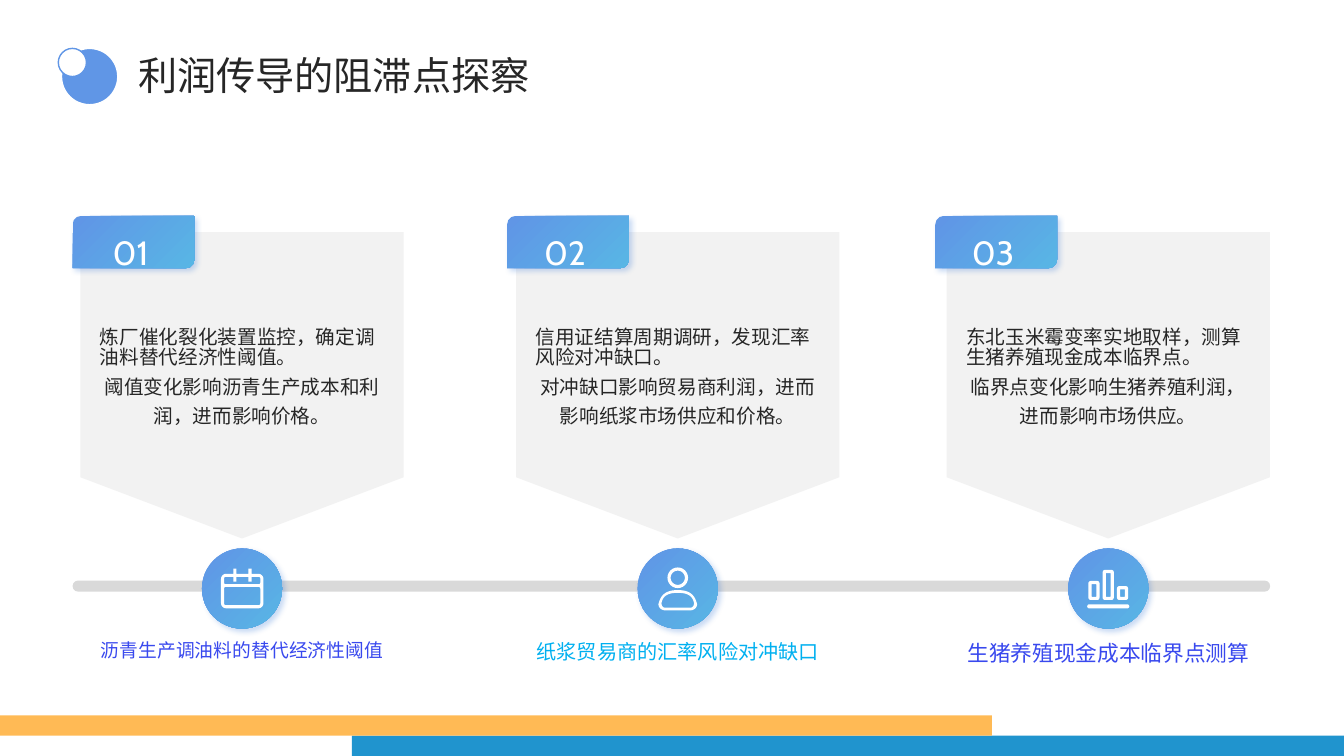
from math import cos, radians, sin

from lxml.etree import SubElement
from pptx import Presentation
from pptx.dml.color import RGBColor
from pptx.enum.shapes import MSO_SHAPE as SHAPE
from pptx.enum.text import MSO_ANCHOR as ANCHOR, PP_ALIGN as ALIGN
from pptx.oxml.ns import qn
from pptx.util import Cm, Pt

TITLE = "利润传导的阻滞点探察"
STAGES = [
    dict(number="01", center=6.1, tag=1.83, icon="calendar",
         finding="炼厂催化裂化装置监控，确定调油料替代经济性阈值。",
         impact="阈值变化影响沥青生产成本和利润，进而影响价格。",
         caption="沥青生产调油料的替代经济性阈值", size=13.4, color="indigo"),
    dict(number="02", center=17.08, tag=12.78, icon="person",
         finding="信用证结算周期调研，发现汇率风险对冲缺口。",
         impact="对冲缺口影响贸易商利润，进而影响纸浆市场供应和价格。",
         caption="纸浆贸易商的汇率风险对冲缺口", size=14.4, color="cyan"),
    dict(number="03", center=27.93, tag=23.57, icon="bars",
         finding="东北玉米霉变率实地取样，测算生猪养殖现金成本临界点。",
         impact="临界点变化影响生猪养殖利润，进而影响市场供应。",
         caption="生猪养殖现金成本临界点测算", size=15.5, color="indigo"),
]
COLORS = dict(white="FFFFFF", ink="262626", panel="F2F2F2", track="D9D9D9",
              blue="6096E6", sky="58B6E5", shadow="2169D3", indigo="3949EE",
              cyan="00B0F0", orange="FFBA55", footer="2094CE")
CJK, LATIN = "Noto Sans CJK SC", "Cabin"
PANEL_W, PANEL_H, PANEL_Y = 8.15, 7.72, 5.85
TEXT_W, DISC, DISC_Y = 7.16, 2.02, 14.83

prs = Presentation()
prs.slide_width, prs.slide_height = Cm(33.87), Cm(19.05)
s = prs.slides.add_slide(prs.slide_layouts[6])


def rgb(name):
    return RGBColor.from_string(COLORS[name])


def paint(sp, fill, line=None):
    sp.shadow.inherit = False
    sp.fill.solid()
    sp.fill.fore_color.rgb = rgb(fill)
    if line:
        sp.line.color.rgb = rgb(line)
        sp.line.width = Pt(1)
    else:
        sp.line.fill.background()


def add_box(kind, x, y, w, h, fill, line=None):
    sp = s.shapes.add_shape(kind, Cm(x), Cm(y), Cm(w), Cm(h))
    paint(sp, fill, line)
    return sp


def add_glossy(kind, x, y, w, h):
    sp = add_box(kind, x, y, w, h, "blue")
    sp.fill.gradient()
    sp.fill.gradient_angle = 315
    for stop, position, color in zip(sp.fill.gradient_stops, (0.04, 1), ("blue", "sky")):
        stop.position = position
        stop.color.rgb = rgb(color)
    effects = sp._element.spPr.find(qn("a:effectLst"))
    shadow = SubElement(effects, qn("a:outerShdw"), blurRad=str(Pt(4)),
                        dist=str(Pt(3)), dir="2700000", algn="tl", rotWithShape="0")
    tint = SubElement(shadow, qn("a:srgbClr"), val=COLORS["shadow"])
    SubElement(tint, qn("a:alpha"), val="23000")


def add_text(paragraphs, x, y, w, h, size, color="ink", font=CJK, anchor=ANCHOR.MIDDLE):
    tf = s.shapes.add_textbox(Cm(x), Cm(y), Cm(w), Cm(h)).text_frame
    tf.word_wrap = True
    tf.vertical_anchor = anchor
    tf.margin_left = tf.margin_right = tf.margin_top = tf.margin_bottom = 0
    for i, (text, align, spacing) in enumerate(paragraphs):
        p = tf.paragraphs[0] if i == 0 else tf.add_paragraph()
        p.alignment, p.line_spacing = align, spacing
        r = p.add_run()
        r.text = text
        r.font.size = Pt(size)
        r.font.color.rgb = rgb(color)
        r.font.name = font
        SubElement(r._r.get_or_add_rPr(), qn("a:ea"), typeface=font)


def rounded(x, y, w, h, radius, top=()):
    corners = [(x + radius, y + radius, 180), (x + w - radius, y + radius, 270),
               (x + w - radius, y + h - radius, 0), (x + radius, y + h - radius, 90)]
    arcs = [[(cx + radius * cos(radians(start + a)), cy + radius * sin(radians(start + a)))
             for a in range(0, 91, 15)] for cx, cy, start in corners]
    return arcs[0] + list(top) + arcs[1] + arcs[2] + arcs[3]


def circle(y, radius):
    return rounded(-radius, y - radius, 2 * radius, 2 * radius, radius)


def bezier(*points):
    curve = []
    for step in range(13):
        t = step / 12
        weights = ((1 - t) ** 3, 3 * t * (1 - t) ** 2, 3 * t * t * (1 - t), t ** 3)
        curve.append(tuple(sum(k * pt[axis] for k, pt in zip(weights, points))
                           for axis in (0, 1)))
    return curve


def dome(*points):
    half = bezier(*points[:4]) + bezier(*points[3:])
    return half + [(-x, y) for x, y in reversed(half)]


def pins(edge, tip):
    return [(c + dx, y) for c in (-0.18, 0.2)
            for dx, y in ((-0.04, edge), (-0.04, tip), (0.04, tip), (0.04, edge))]


def column(x, y):
    return [rounded(x, y, 0.28, 0.29 - y, 0.06),
            rounded(x + 0.08, y + 0.08, 0.12, 0.13 - y, 0.01)]


ICONS = {
    "calendar": [rounded(-0.53, -0.37, 1.07, 0.87, 0.13, pins(-0.37, -0.5)),
                 rounded(-0.45, -0.29, 0.91, 0.18, 0.03, pins(-0.29, -0.17)),
                 rounded(-0.45, -0.04, 0.91, 0.46, 0.04)],
    "person": [circle(-0.27, 0.26), circle(-0.27, 0.18),
               dome((0, 0.04), (-0.33, 0.04), (-0.43, 0.19), (-0.48, 0.37),
                    (-0.51, 0.44), (-0.43, 0.55), (-0.33, 0.55)),
               dome((0, 0.11), (-0.3, 0.11), (-0.38, 0.22), (-0.41, 0.37),
                    (-0.41, 0.42), (-0.38, 0.48), (-0.34, 0.48))],
    "bars": column(-0.5, -0.19) + column(-0.14, -0.47) + column(0.22, -0.06)
            + [rounded(-0.53, 0.4, 1.06, 0.1, 0.05)],
}


def add_icon(contours, cx, cy):
    placed = [[(Cm(cx + x), Cm(cy + y)) for x, y in c] for c in contours]
    builder = s.shapes.build_freeform(*placed[0][0])
    for i, points in enumerate(placed):
        if i:
            builder.move_to(*points[0])
        builder.add_line_segments(points[1:], close=True)
    paint(builder.convert_to_shape(), "white")


add_box(SHAPE.RECTANGLE, 8.87, 18.54, 25, 0.51, "footer")
add_box(SHAPE.RECTANGLE, 0, 18.03, 25, 0.51, "orange")
for stage in STAGES:
    add_box(SHAPE.FLOWCHART_OFFPAGE_CONNECTOR, stage["center"] - PANEL_W / 2, PANEL_Y,
            PANEL_W, PANEL_H, "panel")
track = add_box(SHAPE.ROUNDED_RECTANGLE, 1.83, 14.63, 30.18, 0.28, "track")
track.adjustments[0] = 0.5

for stage in STAGES:
    center, tag, left = stage["center"], stage["tag"], stage["center"] - TEXT_W / 2
    add_glossy(SHAPE.OVAL, center - DISC / 2, DISC_Y - DISC / 2, DISC, DISC)
    add_icon(ICONS[stage["icon"]], center, DISC_Y)
    add_glossy(SHAPE.ROUND_2_DIAG_RECTANGLE, tag, 5.44, 3.07, 1.32)
    add_text([(stage["number"], ALIGN.CENTER, 1.5)], tag + 0.66, 5.18, 1.6, 1.85,
             size=24, color="white", font=LATIN)
    add_text([(stage["finding"], ALIGN.LEFT, 0.85), (stage["impact"], ALIGN.CENTER, 1.25)],
             left, 7.06, TEXT_W, 4.93, size=14)
    add_text([(stage["caption"], ALIGN.CENTER, 1.25)], left, 15.95, TEXT_W, 1.37,
             size=stage["size"], color=stage["color"], anchor=ANCHOR.TOP)

add_text([(TITLE, ALIGN.LEFT, 0.92)], 3.48, 1.3, 30.18, 1.3, size=28)
add_box(SHAPE.OVAL, 1.55, 1.22, 1.42, 1.42, "blue", "white")
add_box(SHAPE.OVAL, 1.47, 1.22, 0.71, 0.71, "white", "blue")
prs.save("out.pptx")
